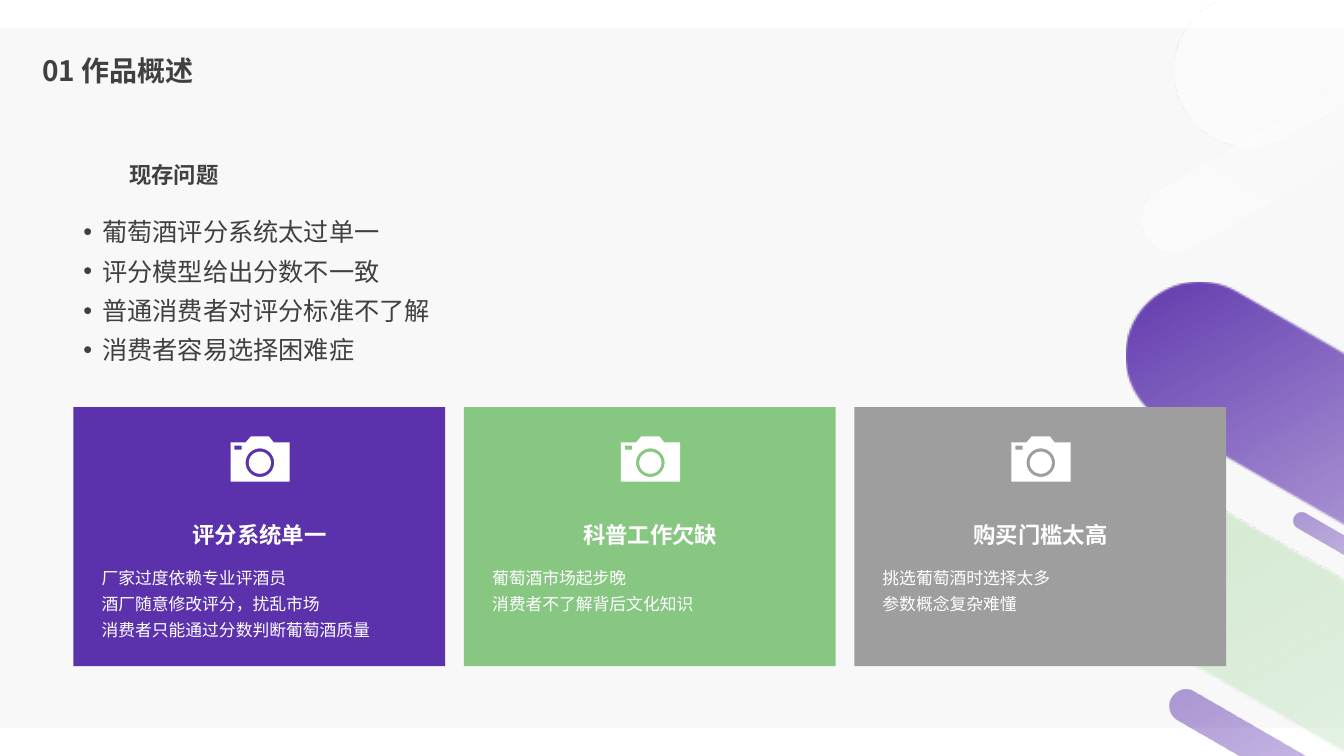
from math import cos, pi, sin

from lxml.etree import SubElement
from pptx import Presentation
from pptx.dml.color import RGBColor
from pptx.enum.shapes import MSO_SHAPE as Preset
from pptx.enum.text import MSO_ANCHOR as Anchor, MSO_AUTO_SIZE as AutoSize, PP_ALIGN as Align
from pptx.oxml.ns import qn
from pptx.util import Cm, Pt

COLOURS = {
    "white": "FFFFFF", "panel": "F8F8F8", "ink": "404040",
    "purple": "5B32AB", "violet": "5F34B2", "green": "87C782",
    "mint": "D0E9CE", "grey": "9E9E9E",
}
BODY_FONT = "Noto Sans CJK SC"
HEADING_FONT = "Quicksand"

deck = Presentation()
deck.slide_width, deck.slide_height = Cm(33.87), Cm(19.05)
page = deck.slides.add_slide(deck.slide_layouts[6])


def paint(shape, colour):
    shape.shadow.inherit = False
    shape.line.fill.background()
    shape.fill.solid()
    shape.fill.fore_color.rgb = RGBColor.from_string(COLOURS[colour])


def add_text(left, top, width, height, lines, size, colour, font=BODY_FONT, bold=False,
             align=Align.LEFT, spacing=1.3, wrap=True):
    box = page.shapes.add_textbox(Cm(left), Cm(top), Cm(width), Cm(height))
    frame = box.text_frame
    frame.word_wrap = wrap
    frame.auto_size = AutoSize.SHAPE_TO_FIT_TEXT
    for index, line in enumerate(lines):
        para = frame.paragraphs[0] if index == 0 else frame.add_paragraph()
        para.alignment = align
        para.line_spacing = spacing
        span = para.add_run()
        span.text = line
        span.font.size = Pt(size)
        span.font.bold = bold
        span.font.color.rgb = RGBColor.from_string(COLOURS[colour])
        span.font.name = font
        SubElement(span.font._element, qn("a:ea"), typeface=BODY_FONT)
    return frame


panel = page.shapes.add_shape(Preset.RECTANGLE, 0, Cm(0.71), deck.slide_width, Cm(17.63))
paint(panel, "panel")

white_tail = [(85, "white", 50), (100, "white", 50)]
strong_purple = [(0, "purple", 100), (23, "violet", 40)] + white_tail
soft_purple = [(0, "purple", 50), (23, "violet", 40)] + white_tail
soft_green = [(0, "mint", 100), (22, "mint", 50)] + white_tail
glow = [(0, "white", 50), (21, "white", 29), (85, "white", 0), (100, "white", 0)]
ribbons = [
    (25.15, 19.25, 52.2, 3.73, 30, strong_purple),
    (27.84, -6.73, 30.15, 3.84, 330, glow),
    (27.99, 1.73, 13.39, 1.7, 330, glow),
    (24.59, 24.64, 52.2, 3.73, 30, soft_green),
    (32.21, 14.35, 6.2, 0.43, 30, soft_purple),
    (28.73, 20.14, 11.91, 0.84, 30, soft_purple),
]
for left, top, width, height, angle, stops in ribbons:
    ribbon = page.shapes.add_shape(Preset.ROUNDED_RECTANGLE, Cm(left), Cm(top), Cm(width), Cm(height))
    ribbon.adjustments[0] = 0.5
    ribbon.rotation = angle
    ribbon.shadow.inherit = False
    ribbon.line.fill.background()
    ribbon.fill.gradient()
    gradient = ribbon._element.spPr.find(qn("a:gradFill"))
    gradient.set("rotWithShape", "1")
    for child in list(gradient):
        gradient.remove(child)
    stop_list = SubElement(gradient, qn("a:gsLst"))
    for place, colour, opacity in stops:
        stop = SubElement(stop_list, qn("a:gs"), pos=str(place * 1000))
        tint = SubElement(stop, qn("a:srgbClr"), val=COLOURS[colour])
        SubElement(tint, qn("a:alpha"), val=str(opacity * 1000))
    SubElement(gradient, qn("a:lin"), ang=str(angle * 60000), scaled="0")

title = add_text(0.81, 1.09, 12.67, 1.47, ["01 作品概述"], 20, "ink", bold=True, spacing=0.9)
title.auto_size = AutoSize.NONE
title.vertical_anchor = Anchor.MIDDLE
title.paragraphs[0].space_before = Pt(10)

cards = [
    ("purple", "评分系统单一",
     ["厂家过度依赖专业评酒员", "酒厂随意修改评分，扰乱市场", "消费者只能通过分数判断葡萄酒质量"]),
    ("green", "科普工作欠缺", ["葡萄酒市场起步晚", "消费者不了解背后文化知识"]),
    ("grey", "购买门槛太高", ["挑选葡萄酒时选择太多", "参数概念复杂难懂"]),
]
CARD_LEFT, CARD_TOP, CARD_STEP = 1.85, 10.26, 9.84
LENS_X, LENS_Y, RING_RADIUS, LENS_RADIUS = 0.74, 0.66, 0.36, 0.28
camera_body = [(0, 0.15), (0.38, 0.15), (0.51, 0), (0.97, 0), (1.09, 0.15),
               (1.49, 0.15), (1.49, 1.14), (0, 1.14)]
camera_finder = [(0.1, 0.23), (0.1, 0.33), (0.28, 0.33), (0.28, 0.23)]
camera_ring = [(LENS_X + RING_RADIUS * cos(step * pi / 24), LENS_Y - RING_RADIUS * sin(step * pi / 24))
               for step in range(48)]

for index, (colour, heading, lines) in enumerate(cards):
    left = CARD_LEFT + index * CARD_STEP
    card = page.shapes.add_shape(Preset.RECTANGLE, Cm(left), Cm(CARD_TOP), Cm(9.37), Cm(6.53))
    paint(card, colour)

    camera_left, camera_top = left + 3.96, CARD_TOP + 0.74
    outlines = [[(Cm(camera_left + x), Cm(camera_top + y)) for x, y in outline]
                for outline in (camera_body, camera_finder, camera_ring)]
    builder = page.shapes.build_freeform(*outlines[0][0])
    builder.add_line_segments(outlines[0][1:])
    for hole in outlines[1:]:
        builder.move_to(*hole[0])
        builder.add_line_segments(hole[1:])
    paint(builder.convert_to_shape(), "white")
    lens = page.shapes.add_shape(
        Preset.OVAL, Cm(camera_left + LENS_X - LENS_RADIUS), Cm(camera_top + LENS_Y - LENS_RADIUS),
        Cm(2 * LENS_RADIUS), Cm(2 * LENS_RADIUS))
    paint(lens, "white")

    add_text(left + 0.46, 14.02, 8.48, 0.2 + 0.69 * len(lines), lines, 12, "white")
    add_text(left + 2.74, 12.8, 3.91, 1.14, [heading], 16, "white", HEADING_FONT,
             bold=True, align=Align.CENTER, wrap=False)

problems = ["葡萄酒评分系统太过单一", "评分模型给出分数不一致", "普通消费者对评分标准不了解", "消费者容易选择困难症"]
problem_list = add_text(1.85, 5.11, 29.06, 5.26, problems, 18, "ink")
columns = problem_list._txBody.bodyPr
columns.set("numCol", "2")
columns.set("spcCol", str(Cm(0.99)))
for para in problem_list.paragraphs:
    layout = para._p.get_or_add_pPr()
    layout.set("marL", str(Cm(0.48)))
    layout.set("indent", str(-Cm(0.48)))
    SubElement(layout, qn("a:buFont"), typeface="Arial")
    SubElement(layout, qn("a:buChar"), char="•")

add_text(3, 3.73, 2.77, 1.14, ["现存问题"], 16, "ink", HEADING_FONT,
         bold=True, align=Align.CENTER, wrap=False)

deck.save("out.pptx")
